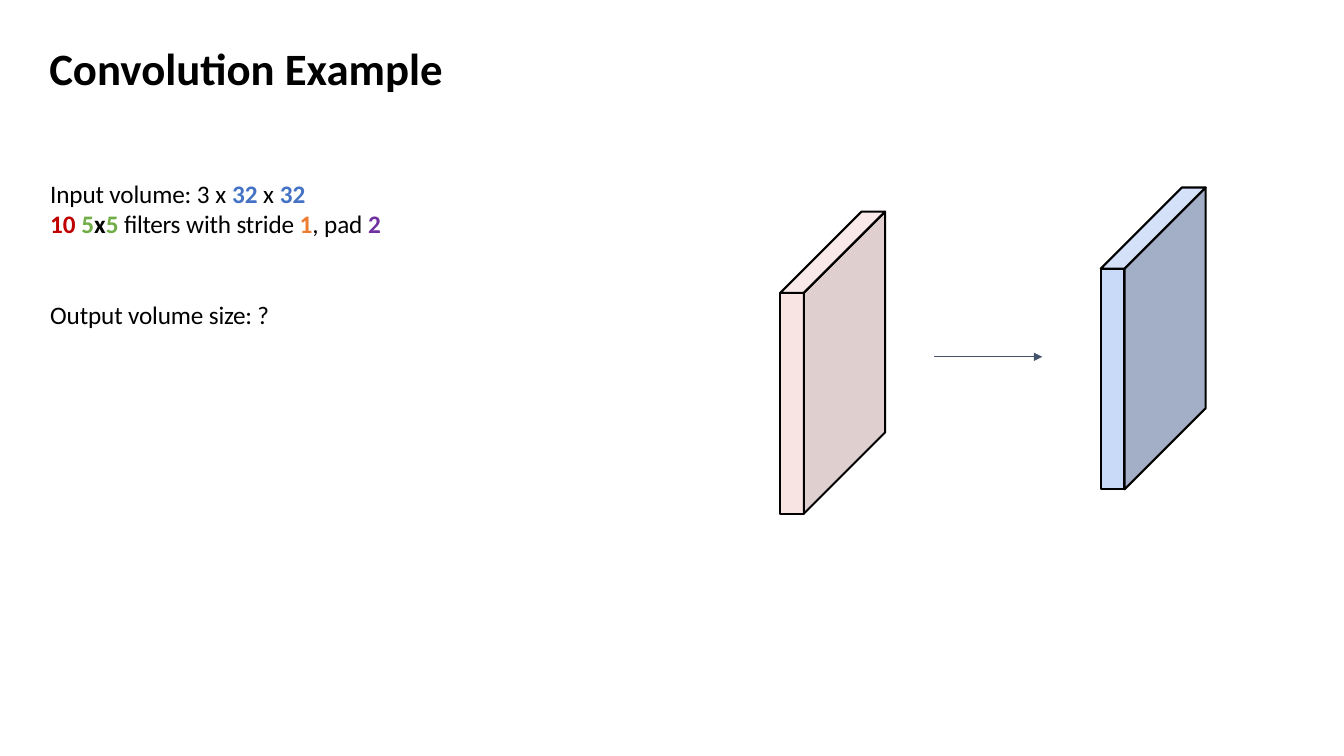
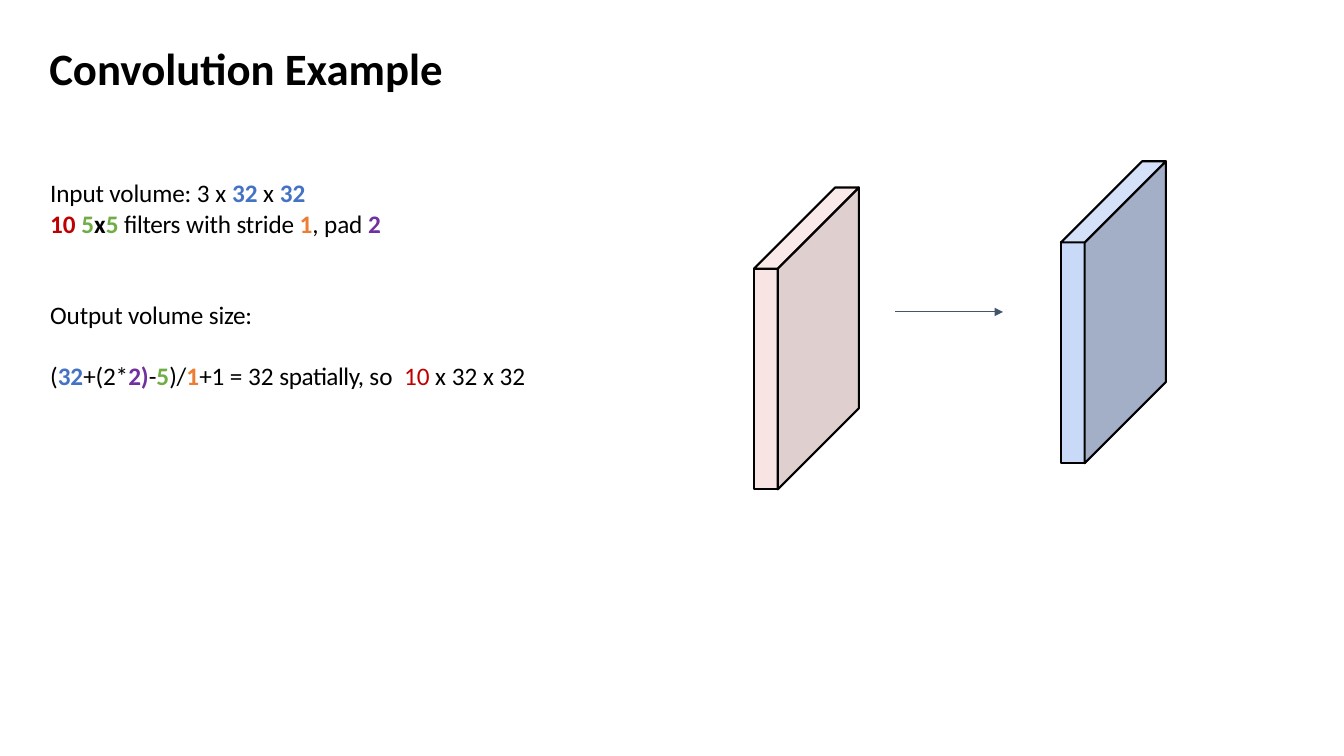
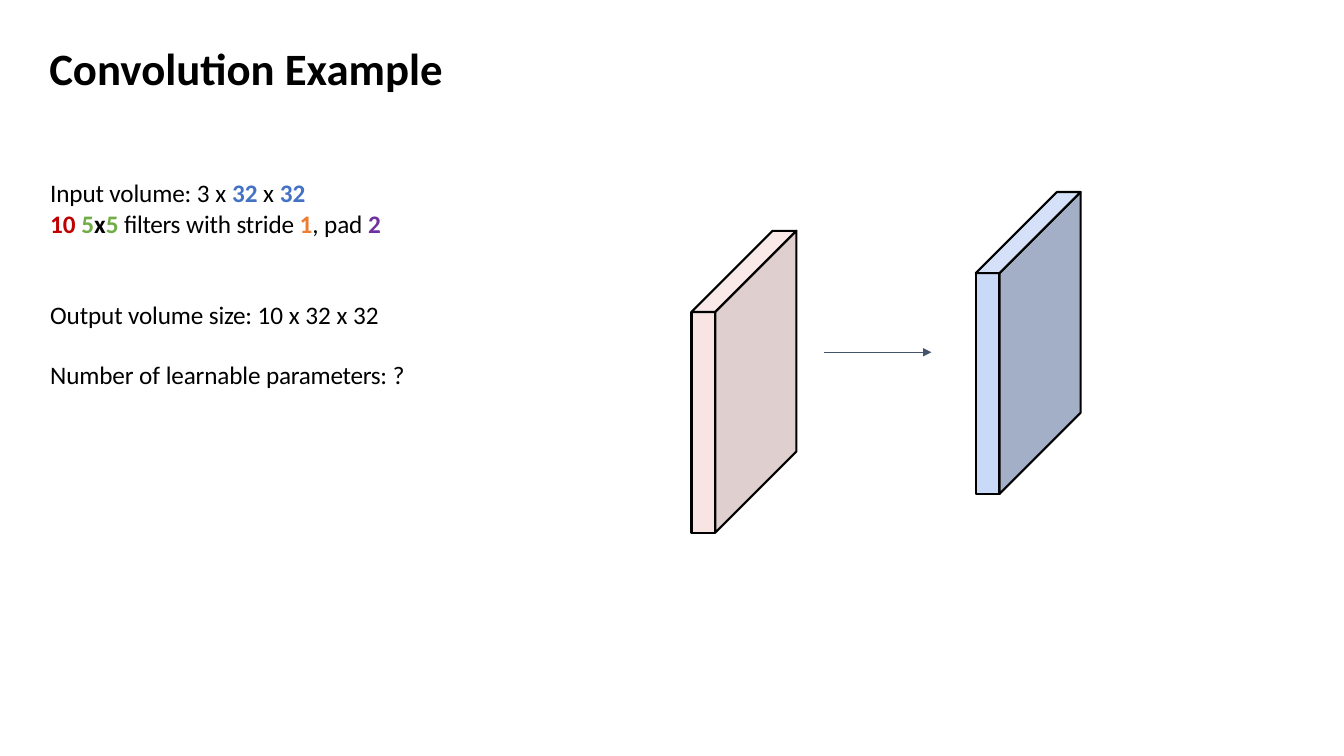
"""Build three slides that work through a convolution example."""
from dataclasses import dataclass
from typing import NamedTuple

from lxml.etree import SubElement as Sub
from pptx import Presentation
from pptx.dml.color import RGBColor as Rgb
from pptx.enum.shapes import MSO_CONNECTOR as Conn
from pptx.oxml.ns import qn
from pptx.util import Emu, Inches, Pt

CELL = Inches(0.25)
COLS, ROWS = 53.33, 30
FONT = "Calibri"
BLACK, SLATE = "000000", "44546A"
BLUE, RED, GREEN = "4472C4", "C00000", "70AD47"
ORANGE, PURPLE = "ED7D31", "7030A0"
WIDE, TALL, DEEP = 0.94, 8.76, 3.22
REACH = 4.28


class Run(NamedTuple):
    text: str
    color: str = BLACK
    bold: bool = False
    space: float = 0


class Para(NamedTuple):
    runs: list[Run]
    before: float = 0


class Point(NamedTuple):
    col: float
    row: float


class Tint(NamedTuple):
    front: str
    side: str
    top: str
    alpha: int = 100


@dataclass
class Page:
    paras: list[Para]
    rows: float
    source: Point
    arrow: Point
    target: Point


PINK = Tint("F4CCCC", "C4A4A4", "F6D6D6", 52)
SKY = Tint("C9DAF8", "A2AFC7", "D4E1F9")

TITLE = [Para([Run("Convolution Example", bold=True)])]
INTRO = [
    Para([
        Run("Input volume: ", space=-0.1), Run("3 x "), Run("32 ", BLUE, True),
        Run("x "), Run("32", BLUE, True),
    ]),
    Para([
        Run("10 ", RED, True), Run("5", GREEN, True, -0.1),
        Run("x", BLACK, True, -0.1), Run("5 ", GREEN, True, -0.1),
        Run("filters", space=-0.2), Run(" with stride ", space=-0.1),
        Run("1", ORANGE, True), Run(","), Run(" pad ", space=-0.1),
        Run("2", PURPLE, True),
    ], 0.1),
]
SUM = Para([
    Run("(", space=-0.1), Run("32", BLUE, True, -0.1),
    Run("+(2*", space=-0.1), Run("2)", PURPLE, True, -0.1),
    Run("-", space=-0.1), Run("5", GREEN, True, -0.1),
    Run(")/", space=-0.1), Run("1", ORANGE, True, -0.1),
    Run("+1 ", space=-0.1), Run("= 32 "), Run("spatially, ", space=-0.3),
    Run("so  "), Run("10 ", RED), Run("x 32 x 32"),
], 22.1)
COUNT = Para([
    Run("Number ", space=-0.1), Run("of "), Run("learnable ", space=-0.1),
    Run("parameters:", space=-0.2), Run(" ?"),
], 21)


def output(*tail: Run) -> Para:
    """Give the line on the output volume, ended by the given runs."""
    return Para([Run("Output volume ", space=-0.1), *tail], 43.5)


PAGES = [
    Page([*INTRO, output(Run("size: ?", space=-0.2))], 7.68,
         Point(30.96, 8.4), Point(37.08, 14.16), Point(43.68, 7.44)),
    Page([*INTRO, output(Run("size:", space=-0.2)), SUM], 10.1,
         Point(29.92, 7.44), Point(35.52, 12.38), Point(42.1, 6.4)),
    Page([*INTRO, output(Run("size: ", space=-0.2), Run("10 x 32 x 32")), COUNT],
         10.1, Point(27.44, 9.16), Point(32.68, 13.98), Point(38.72, 7.62)),
]


def grid(cells: float) -> Emu:
    """Turn grid cells into a length."""
    return Emu(round(cells * CELL))


def color(code: str) -> Rgb:
    """Turn a hex string into a colour."""
    return Rgb.from_string(code)


def write(slide, paras: list[Para], at: Point, cols: float, rows: float, *,
          size: float = 18, wrap: bool = True) -> None:
    """Place a text box with formatted runs."""
    box = slide.shapes.add_textbox(*map(grid, (*at, cols, rows)))
    frame = box.text_frame
    frame.word_wrap = wrap
    for index, para in enumerate(paras):
        line = frame.paragraphs[0] if index == 0 else frame.add_paragraph()
        line.space_before = Pt(para.before)
        for part in para.runs:
            run = line.add_run()
            run.text = part.text
            font = run.font
            font.name, font.size, font.bold = FONT, Pt(size), part.bold
            font.color.rgb = color(part.color)
            if part.space:
                run._r.get_or_add_rPr().set("spc", str(round(part.space * 100)))


def face(group, points: list[Point], fill: str, alpha: int) -> None:
    """Draw one outlined face of a slab."""
    first, *rest = [tuple(map(grid, point)) for point in points]
    pen = group.shapes.build_freeform(*first)
    pen.add_line_segments(rest, close=True)
    shape = pen.convert_to_shape()
    shape.shadow.inherit = False
    shape.fill.solid()
    shape.fill.fore_color.rgb = color(fill)
    shape.line.color.rgb = color(BLACK)
    shape.line.width = Pt(1.5)
    if alpha < 100:
        solid = shape.element.spPr.find(qn("a:solidFill"))
        Sub(solid[0], qn("a:alpha")).set("val", str(alpha * 1000))


def slab(slide, at: Point, tint: Tint) -> None:
    """Draw a volume as a grouped front, side and top."""
    group = slide.shapes.add_group_shape()
    left, top = at
    edge, right = left + WIDE, left + WIDE + DEEP
    brow, foot = top + DEEP, top + DEEP + TALL
    near, far = Point(edge, brow), Point(right, top)
    base, heel = Point(edge, foot), Point(right, top + TALL)
    nook = Point(left, brow)
    face(group, [near, nook, Point(left, foot), base], tint.front, tint.alpha)
    face(group, [far, near, base, heel], tint.side, tint.alpha)
    face(group, [far, Point(left + DEEP, top), nook, near], tint.top, tint.alpha)


def arrow(slide, at: Point) -> None:
    """Draw a level arrow to the right."""
    ends = (at.col, at.row, at.col + REACH, at.row)
    link = slide.shapes.add_connector(Conn.STRAIGHT, *map(grid, ends))
    link.line.color.rgb = color(SLATE)
    link.line.width = Pt(0.75)
    props = link.element.spPr
    Sub(props.find(qn("a:ln")), qn("a:tailEnd")).set("type", "triangle")
    Sub(props, qn("a:effectLst"))


def main() -> None:
    """Build and save the slides."""
    deck = Presentation()
    deck.slide_width, deck.slide_height = grid(COLS), grid(ROWS)
    for page in PAGES:
        slide = deck.slides.add_slide(deck.slide_layouts[6])
        slab(slide, page.source, PINK)
        arrow(slide, page.arrow)
        slab(slide, page.target, SKY)
        write(slide, TITLE, Point(1.56, 1.44), 16.6, 2.56, size=32, wrap=False)
        write(slide, page.paras, Point(1.6, 6.86), 26.64, page.rows)
    deck.save("out.pptx")


if __name__ == "__main__":
    main()
